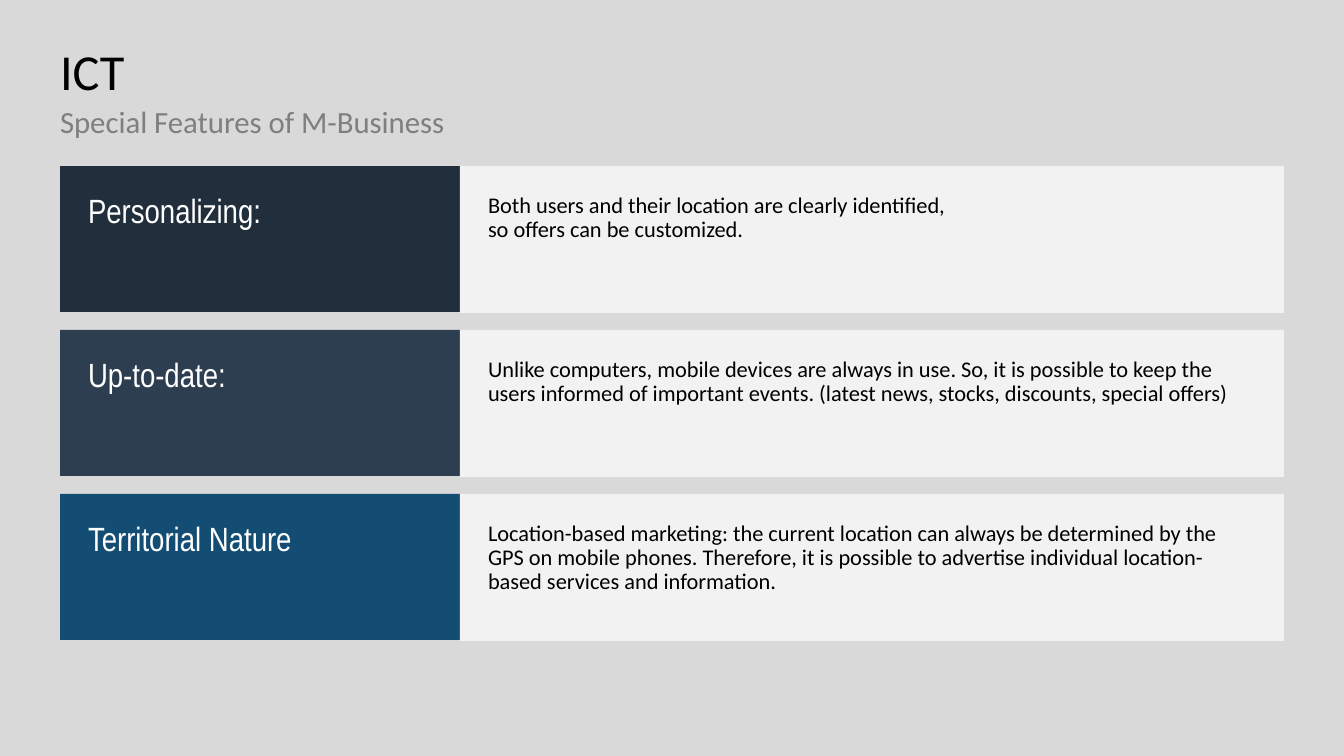
from pptx import Presentation
from pptx.dml.color import RGBColor as Rgb
from pptx.enum.shapes import MSO_SHAPE as Shape
from pptx.enum.text import MSO_ANCHOR as Anchor, PP_ALIGN as Align
from pptx.util import Pt

PX = 914400 / 100.8  # EMU in one px

COLORS = {
    "back": "D9D9D9", "panel": "F2F2F2", "text": "000000", "sub": "7F7F7F",
    "label": "FFFFFF", "night": "212E3C", "slate": "2C3E50", "blue": "144D73",
}
STYLES = {
    "title": {"name": "Calibri", "size": Pt(36), "color": "text"},
    "sub": {"name": "Calibri", "size": Pt(22), "color": "sub"},
    "label": {"name": "Arial Narrow", "size": Pt(24), "color": "label"},
    "body": {"name": "Calibri", "size": Pt(16), "color": "text"},
}
ROWS = [
    ("night", "Personalizing:",
     "Both users and their location are clearly identified, \n"
     "so offers can be customized."),
    ("slate", "Up-to-date:",
     "Unlike computers, mobile devices are always in use. So, it is possible "
     "to keep the users informed of important events. (latest news, stocks, "
     "discounts, special offers)"),
    ("blue", "Territorial Nature",
     "Location-based marketing: the current location can always be determined "
     "by the GPS on mobile phones. Therefore, it is possible to advertise "
     "individual location-based services and information."),
]


def emu(*sizes):
    return [round(size * PX) for size in sizes]


def color(key):
    return Rgb.from_string(COLORS[key])


def write(shape, text, style, pad=0):
    frame = shape.text_frame
    edge, = emu(pad)
    layout = {"word_wrap": True, "vertical_anchor": Anchor.TOP,
              "margin_left": edge, "margin_top": edge,
              "margin_right": edge, "margin_bottom": edge}
    for name, value in layout.items():
        setattr(frame, name, value)
    para = frame.paragraphs[0]
    para.text = text
    for name, value in {"alignment": Align.LEFT, "line_spacing": 0.9}.items():
        setattr(para, name, value)
    for run in para.runs:
        for name, value in STYLES[style].items():
            if name == "color":
                run.font.color.rgb = color(value)
            else:
                setattr(run.font, name, value)


def panel(slide, box, fill, text, style):
    shape = slide.shapes.add_shape(Shape.RECTANGLE, *emu(*box))
    shape.shadow.inherit = False
    shape.fill.solid()
    shape.fill.fore_color.rgb = color(fill)
    shape.line.fill.background()
    write(shape, text, style, pad=28)


def header(slide, box):
    left, top, width, height = box
    # Title above, subtitle in the lower half
    half = height // 2
    parts = [("ICT", "title"), ("Special Features of M-Business", "sub")]
    for i, (text, style) in enumerate(parts):
        place = emu(left, top + i * half, width, half)
        write(slide.shapes.add_textbox(*place), text, style)


def features(slide, box, gap=17, split=400):
    left, top, width, height = box
    count = len(ROWS)
    tall = (height - gap * (count - 1)) // count
    for i, (fill, name, text) in enumerate(ROWS):
        y = top + i * (tall + gap)
        # Feature name, then its description
        panel(slide, (left, y, split, tall - 1), fill, name, "label")
        panel(slide, (left + split, y, width - split, tall), "panel", text, "body")


def main():
    deck = Presentation()
    deck.slide_width, deck.slide_height = emu(1344, 756)
    slide = deck.slides.add_slide(deck.slide_layouts[6])
    back = slide.background.fill
    back.solid()
    back.fore_color.rgb = color("back")
    header(slide, (60, 47, 1224, 120))
    features(slide, (60, 166, 1224, 475))
    deck.save("out.pptx")


if __name__ == "__main__":
    main()
